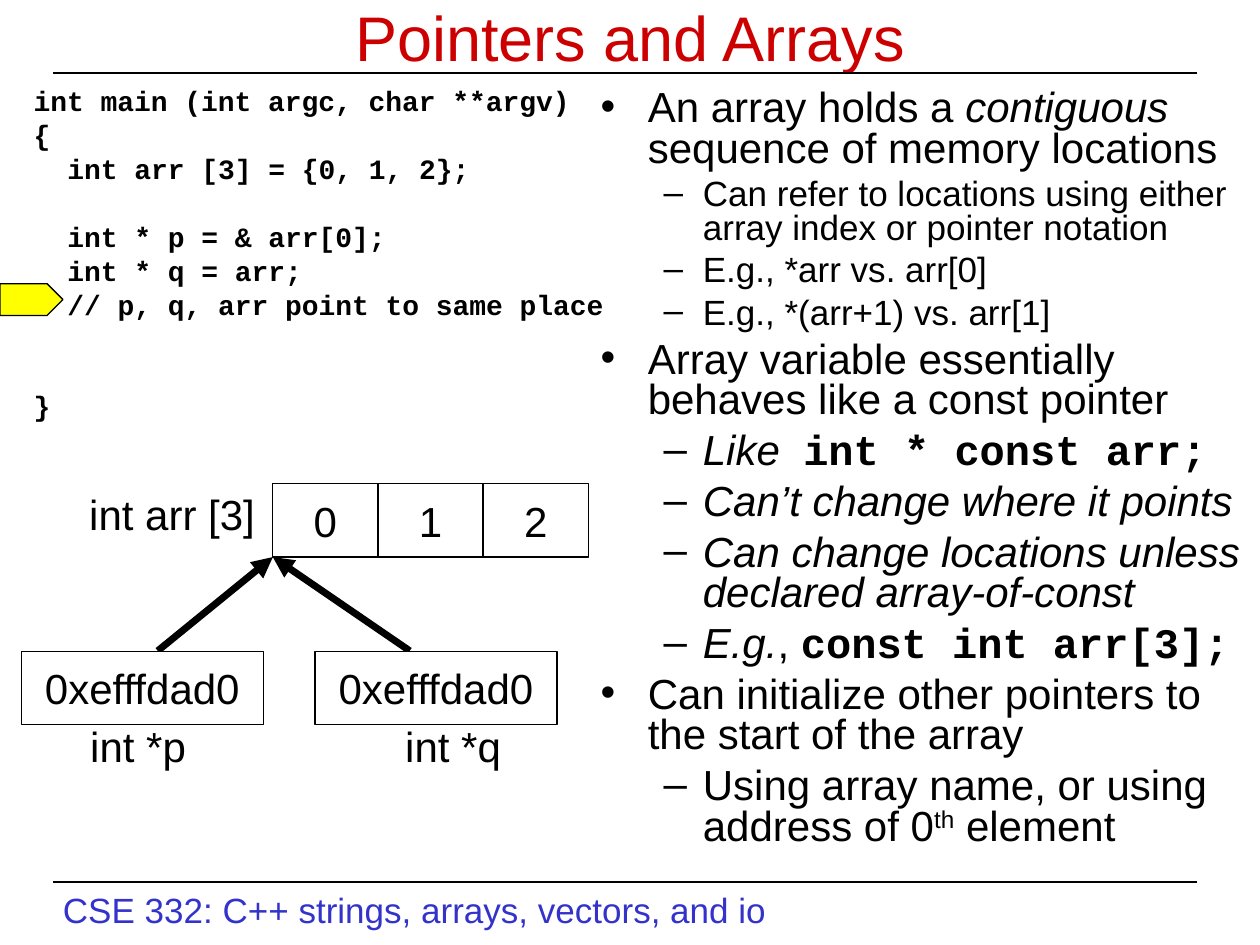
"""Build the slide on pointers and arrays."""
from lxml.etree import SubElement
from pptx import Presentation
from pptx.dml.color import RGBColor
from pptx.enum.shapes import MSO_CONNECTOR, MSO_SHAPE
from pptx.enum.text import MSO_ANCHOR, MSO_AUTO_SIZE, PP_ALIGN
from pptx.oxml.ns import qn
from pptx.util import Cm, Pt

HUES = {"ink": "000000", "title": "CC0000", "foot": "3333CC",
        "paper": "FFFFFF", "mark": "FFFF00"}


def hue(name):
    return RGBColor.from_string(HUES[name])


def write(frame, text, size=24, color="ink", align=PP_ALIGN.LEFT, gap=0,
          line=None, left=0, hang=0, bullet=None):
    """Add a paragraph; text is a string or (string, style letters) pairs."""
    para = frame.paragraphs[0] if not frame.text else frame.add_paragraph()
    para.alignment = align
    para.space_before = Pt(gap)
    para.line_spacing = line
    props = para._p.get_or_add_pPr()
    props.set("marL", str(Cm(left)))
    props.set("indent", str(-Cm(hang)))
    if bullet:
        SubElement(props, qn("a:buFont"), typeface="Arial")
        SubElement(props, qn("a:buChar"), char=bullet)
    for part, style in [(text, "")] if isinstance(text, str) else text:
        run = para.add_run()
        run.text = part
        font = run.font
        font.name = "Courier New" if "m" in style else "Arial"
        font.size = Pt(size)
        font.bold = "m" in style
        font.italic = "i" in style
        font.color.rgb = hue(color)
        if "s" in style:
            run._r.get_or_add_rPr().set("baseline", "30000")


deck = Presentation()
deck.slide_width, deck.slide_height = Cm(25.4), Cm(19.05)
slide = deck.slides.add_slide(deck.slide_layouts[5])
shapes = slide.shapes

title = shapes.title
title.left, title.top, title.width, title.height = Cm(0.64), Cm(0), Cm(24.13), Cm(1.47)
title.text_frame.auto_size = MSO_AUTO_SIZE.NONE
title.text_frame.vertical_anchor = MSO_ANCHOR.MIDDLE
write(title.text_frame, "Pointers and Arrays", size=36, color="title",
      align=PP_ALIGN.CENTER)

code = shapes.add_textbox(Cm(0.43), Cm(1.7), Cm(12.07), Cm(6.99)).text_frame
code.word_wrap = True
step = 19.3
for row, tab, skip in [
    ("int main (int argc, char **argv)", 0, 0),
    ("{", 0, 0),
    ("int arr [3] = {0, 1, 2};", 0.68, 0),
    ("int * p = & arr[0];", 0.68, 1),
    ("int * q = arr;", 0.68, 0),
    ("// p, q, arr point to same place", 0.68, 0),
    ("}", 0, 2),
]:
    write(code, [(row, "m")], size=16, gap=4 + skip * step, line=0.8, left=tab)

notes = shapes.add_textbox(Cm(11.86), Cm(1.7), Cm(13.54), Cm(16.08)).text_frame
notes.word_wrap = True
for level, size, text in [
    (0, 24, [("An array holds a ", ""), ("contiguous", "i"),
             (" sequence of memory locations", "")]),
    (1, 20, "Can refer to locations using either array index or pointer notation"),
    (1, 20, "E.g., *arr vs. arr[0]"),
    (1, 20, "E.g., *(arr+1) vs. arr[1]"),
    (0, 24, "Array variable essentially behaves like a const pointer"),
    (1, 24, [("Like  ", "i"), ("int * const arr;", "m")]),
    (1, 24, [("Can’t change where it points", "i")]),
    (1, 24, [("Can change locations unless declared array-of-const", "i")]),
    (1, 24, [("E.g.", "i"), (", ", ""), ("const int arr[3];", "m")]),
    (0, 24, "Can initialize other pointers to the start of the array"),
    (1, 24, [("Using array name, or using address of 0", ""), ("th", "s"),
             (" element", "")]),
]:
    write(notes, text, size=size, gap=size / 4, line=0.8, left=(0.95, 2.06)[level],
          hang=(0.95, 0.79)[level], bullet="•–"[level])

for x, y, end, stop, thick in [
    (1.07, 1.47, 24.13, 1.47, 0.75),
    (1.07, 17.78, 24.13, 17.78, 0.75),
    (3.18, 13.12, 5.5, 11.23, 4),
    (8.26, 13.12, 5.5, 11.23, 4),
]:
    link = shapes.add_connector(MSO_CONNECTOR.STRAIGHT, Cm(x), Cm(y), Cm(end), Cm(stop))
    link.line.color.rgb = hue("ink")
    link.line.width = Pt(thick)
    if thick > 1:
        SubElement(link.line._get_or_add_ln(), qn("a:tailEnd"), type="triangle")
    SubElement(link._element.spPr, qn("a:effectLst"))

cells = [(MSO_SHAPE.RECTANGLE, 5.5 + 2.12 * n, 9.75, 2.12, 1.48, "paper", str(n))
         for n in range(3)]
boxes = [(MSO_SHAPE.RECTANGLE, x, 13.13, 4.88, 1.48, "paper", "0xefffdad0")
         for x in (0.43, 6.35)]
mark = (MSO_SHAPE.PENTAGON, 0, 5.72, 1.27, 0.64, "mark", "")
for kind, x, y, wide, high, fill, text in [mark, *cells, *boxes]:
    box = shapes.add_shape(kind, Cm(x), Cm(y), Cm(wide), Cm(high))
    box.shadow.inherit = False
    box.fill.solid()
    box.fill.fore_color.rgb = hue(fill)
    box.line.color.rgb = hue("ink")
    box.line.width = Pt(0.75)
    if text:
        box.text_frame.word_wrap = False
        box.text_frame.vertical_anchor = MSO_ANCHOR.MIDDLE
        write(box.text_frame, text, align=PP_ALIGN.CENTER)

for x, y, wide, high, text, size, color, wrap in [
    (1.55, 9.73, 3.84, 1.27, "int arr [3]", 24, "ink", False),
    (1.57, 14.4, 2.44, 1.27, "int *p", 24, "ink", False),
    (7.92, 14.4, 2.44, 1.27, "int *q", 24, "ink", False),
    (1.02, 17.78, 16, 1.12, "CSE 332: C++ strings, arrays, vectors, and io", 20,
     "foot", True),
]:
    label = shapes.add_textbox(Cm(x), Cm(y), Cm(wide), Cm(high)).text_frame
    label.word_wrap = wrap
    label.auto_size = MSO_AUTO_SIZE.SHAPE_TO_FIT_TEXT
    write(label, text, size=size, color=color)

deck.save("out.pptx")
